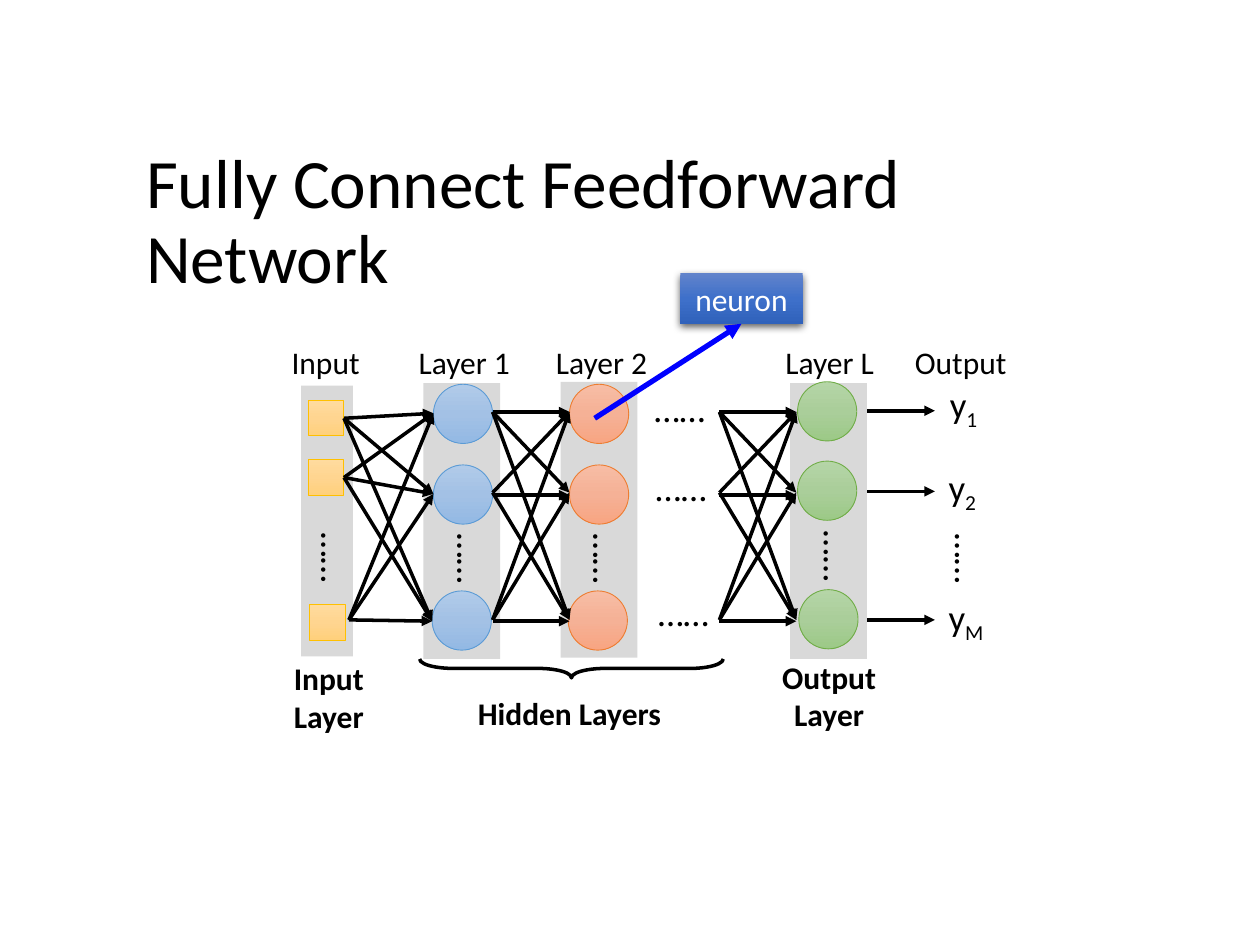
from dataclasses import dataclass
from itertools import product

from lxml.etree import SubElement
from pptx import Presentation
from pptx.dml.color import RGBColor
from pptx.enum.shapes import MSO_CONNECTOR, MSO_SHAPE
from pptx.enum.text import MSO_ANCHOR, MSO_AUTO_SIZE, PP_ALIGN
from pptx.oxml import parse_xml
from pptx.oxml.ns import nsdecls, qn
from pptx.shapes.autoshape import Shape
from pptx.shapes.connector import Connector
from pptx.shapes.shapetree import _BaseGroupShapes
from pptx.util import Inches, Pt

Point = tuple[float, float]
Bounds = tuple[float, float, float, float]
Colours = tuple[str, str, str]

FONT = "Calibri"
BLACK = "000000"
PANEL = "D9D9D9"
LABEL_TOP = 2.67
DOTS = "……"


@dataclass
class Layer:
    name: str
    left: float
    top: float
    label_left: float
    circles: list[Point]
    dots: Point
    fill: Colours
    outline: str


LAYERS = [
    Layer("Layer 1", 3.36, 3.04, 3.22, [(3.44, 3.05), (3.44, 3.69), (3.43, 4.69)],
          (3.43, 4.21), ("B1CBE9", "A3C1E5", "93B9E4"), "5B9BD5"),
    Layer("Layer 2", 4.45, 3.03, 4.31, [(4.52, 3.05), (4.52, 3.69), (4.51, 4.69)],
          (4.51, 4.21), ("F7BDA5", "F5B196", "F8A582"), "ED7D31"),
    Layer("Layer L", 6.27, 3.04, 6.12, [(6.33, 3.03), (6.33, 3.66), (6.34, 4.68)],
          (6.34, 4.19), ("B5D5A7", "AACE9A", "9CC987"), "70AD47"),
]


def colour(value: str) -> RGBColor:
    return RGBColor.from_string(value)


def add_span(para, text: str, size: float, value: str = BLACK, bold: bool = False):
    span = para.add_run()
    span.text = text
    span.font.name = FONT
    span.font.size = Pt(size)
    span.font.bold = bold
    span.font.color.rgb = colour(value)
    return span


def add_text(shapes: _BaseGroupShapes, bounds: Bounds, text: str, size: float = 18,
             bold: bool = False, wrap: bool = False, rotation: float = 0,
             align: PP_ALIGN = PP_ALIGN.CENTER) -> Shape:
    box = shapes.add_textbox(*map(Inches, bounds))
    box.rotation = rotation
    frame = box.text_frame
    frame.word_wrap = wrap
    frame.auto_size = MSO_AUTO_SIZE.SHAPE_TO_FIT_TEXT
    para = frame.paragraphs[0]
    para.alignment = align
    add_span(para, text, size, bold=bold)
    return box


def add_label(shapes: _BaseGroupShapes, left: float, text: str) -> None:
    add_text(shapes, (left, LABEL_TOP, 0.93, 0.4), text)


def add_dots(shapes: _BaseGroupShapes, place: Point, rotation: float = 0) -> None:
    add_text(shapes, (*place, 0.63, 0.45), DOTS, 21, rotation=rotation)


def add_plain(shapes: _BaseGroupShapes, kind: MSO_SHAPE, bounds: Bounds) -> Shape:
    shape = shapes.add_shape(kind, *map(Inches, bounds))
    shape.shadow.inherit = False
    shape.fill.background()
    shape.line.fill.background()
    return shape


def add_panel(shapes: _BaseGroupShapes, bounds: Bounds) -> None:
    panel = add_plain(shapes, MSO_SHAPE.RECTANGLE, bounds)
    panel.fill.solid()
    panel.fill.fore_color.rgb = colour(PANEL)


def add_gradient(shape: Shape, colours: Colours) -> None:
    shape.fill.gradient()
    shape.fill.gradient_angle = 270
    stops = shape._element.spPr.find(qn("a:gradFill")).find(qn("a:gsLst"))
    for stop in list(stops):
        stops.remove(stop)
    for position, value in zip((0, 50000, 100000), colours):
        stop = SubElement(stops, qn("a:gs"), pos=str(position))
        SubElement(stop, qn("a:srgbClr"), val=value)


def add_unit(shapes: _BaseGroupShapes, kind: MSO_SHAPE, place: Point, size: float,
             colours: Colours, outline: str) -> Shape:
    unit = add_plain(shapes, kind, (*place, size, size))
    add_gradient(unit, colours)
    unit.line.color.rgb = colour(outline)
    unit.line.width = Pt(0.5)
    return unit


def add_arrow(shapes: _BaseGroupShapes, start: Point, end: Point,
              value: str = BLACK, width: float = 2) -> Connector:
    arrow = shapes.add_connector(MSO_CONNECTOR.STRAIGHT, *map(Inches, (*start, *end)))
    arrow.line.color.rgb = colour(value)
    arrow.line.width = Pt(width)
    SubElement(arrow.line._get_or_add_ln(), qn("a:tailEnd"), type="triangle")
    SubElement(arrow._element.spPr, qn("a:effectLst"))
    return arrow


def add_layer(shapes: _BaseGroupShapes, layer: Layer) -> None:
    group = shapes.add_group_shape().shapes
    add_panel(group, (layer.left, layer.top, 0.61, 2.19))
    add_label(group, layer.label_left, layer.name)
    for place in layer.circles:
        add_unit(group, MSO_SHAPE.OVAL, place, 0.47, layer.fill, layer.outline)
    add_dots(group, layer.dots, 90)


def add_mesh(shapes: _BaseGroupShapes, left: float) -> None:
    group = shapes.add_group_shape().shapes
    heights = (3.27, 3.91, 4.92)
    flat_heights = (3.27, 3.93, 4.93)
    for start, end in product(range(3), repeat=2):
        levels = flat_heights if start == end else heights
        add_arrow(group, (left, levels[start]), (left + 0.61, levels[end]))


def add_inputs(shapes: _BaseGroupShapes) -> list[Shape]:
    return [add_unit(shapes, MSO_SHAPE.RECTANGLE, place, 0.28,
                     ("FFDB9E", "FFD590", "FFD07C"), "FFC000")
            for place in ((2.45, 3.18), (2.45, 3.65), (2.46, 4.8))]


def add_input_links(shapes: _BaseGroupShapes, squares: list[Shape]) -> None:
    starts = ((2.73, 3.32), (2.73, 3.79), (2.77, 4.92))
    ends = ((3.44, 3.28), (3.44, 3.92), (3.43, 4.93))
    for (row, start), end in product(enumerate(starts), ends):
        arrow = add_arrow(shapes, start, end)
        if row < 2:
            arrow.begin_connect(squares[row], 3)


def add_neuron(shapes: _BaseGroupShapes) -> None:
    neuron = add_plain(shapes, MSO_SHAPE.RECTANGLE, (5.4, 2.17, 0.97, 0.4))
    add_gradient(neuron, ("6183CB", "3E70CA", "3062BB"))
    effects = neuron._element.spPr.find(qn("a:effectLst"))
    effects.append(parse_xml(
        f'<a:outerShdw {nsdecls("a")} blurRad="57150" dist="19050" dir="5400000">'
        '<a:srgbClr val="000000"><a:alpha val="63000"/></a:srgbClr></a:outerShdw>'))
    neuron.text_frame.word_wrap = False
    para = neuron.text_frame.paragraphs[0]
    para.alignment = PP_ALIGN.CENTER
    add_span(para, "neuron", 18, "FFFFFF")
    pointer = add_arrow(shapes, (4.72, 3.32), (5.88, 2.57), "0000FF", 3)
    pointer.end_connect(neuron, 2)


def add_title(page) -> None:
    title = page.shapes.title
    title.left, title.top, title.width, title.height = map(Inches, (1.06, 1.24, 7.87, 1.07))
    title.text_frame.word_wrap = True
    title.text_frame.auto_size = MSO_AUTO_SIZE.NONE
    title.text_frame.vertical_anchor = MSO_ANCHOR.MIDDLE
    para = title.text_frame.paragraphs[0]
    para.alignment = PP_ALIGN.LEFT
    para.line_spacing = 0.9
    add_span(para, "Fully Connect Feedforward Network", 39.6)


def main() -> None:
    deck = Presentation()
    deck.slide_width, deck.slide_height = Inches(10), Inches(7.5)
    page = deck.slides.add_slide(deck.slide_layouts[5])
    shapes = page.shapes
    add_title(page)
    add_text(shapes, (6.09, 5.17, 0.98, 0.71), "Output Layer", bold=True, wrap=True)
    add_text(shapes, (3.67, 5.46, 1.7, 0.4), "Hidden Layers", bold=True)
    brace = add_plain(shapes, MSO_SHAPE.RIGHT_BRACE, (4.46, 4.1, 0.15, 2.41))
    brace.rotation = 90
    brace.adjustments[0], brace.adjustments[1] = 1.76, 0.5
    brace.line.color.rgb = colour(BLACK)
    brace.line.width = Pt(2)
    add_panel(shapes, (2.39, 3.06, 0.41, 2.15))
    add_text(shapes, (2.21, 5.18, 0.8, 0.71), "Input Layer", bold=True, wrap=True)
    add_label(shapes, 2.12, "Input")
    add_label(shapes, 7.16, "Output")
    for start, height in ((6.57, 3.26), (6.59, 3.9), (6.68, 4.92)):
        add_arrow(shapes, (start, height), (7.42, height))
    squares = add_inputs(shapes)
    add_dots(shapes, (2.35, 4.2), 90)
    for layer in LAYERS:
        add_layer(shapes, layer)
    for place in ((5.08, 3.01), (5.09, 3.64), (5.11, 4.63)):
        add_dots(shapes, place)
    add_input_links(shapes, squares)
    for left in (3.91, 5.71):
        add_mesh(shapes, left)
    add_dots(shapes, (7.38, 4.21), 90)
    for index, left, top in (("1", 7.44, 2.98), ("2", 7.43, 3.64), ("M", 7.43, 4.67)):
        box = add_text(shapes, (left, top, 0.52, 0.45), "y", 21, wrap=True, align=PP_ALIGN.LEFT)
        span = add_span(box.text_frame.paragraphs[0], index, 21)
        span.font._element.set("baseline", "-25000")
    add_neuron(shapes)
    deck.save("out.pptx")


if __name__ == "__main__":
    main()
